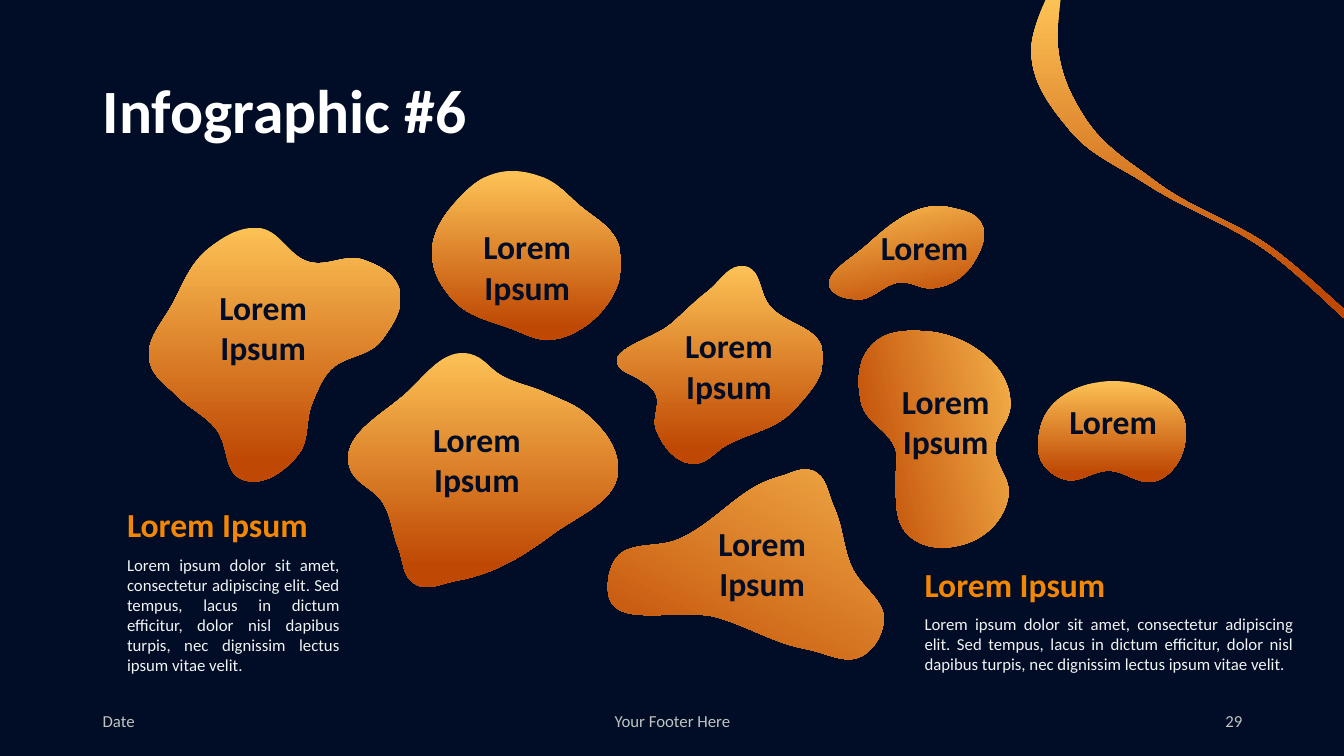
from dataclasses import dataclass
from math import cos, hypot, radians, sin

from pptx import Presentation
from pptx.dml.color import RGBColor
from pptx.enum.text import MSO_ANCHOR, MSO_AUTO_SIZE, PP_ALIGN
from pptx.oxml.ns import qn
from pptx.oxml.xmlchemy import OxmlElement
from pptx.slide import Slide
from pptx.util import Inches, Pt

Point = tuple[float, float]


@dataclass(frozen=True)
class Theme:
    font: str = "Calibri"
    navy: str = "010D26"
    white: str = "FFFFFF"
    pale: str = "F2F3F3"
    gray: str = "C0C4C1"
    orange: str = "F28705"
    gradient_top: str = "FCC155"
    gradient_bottom: str = "BF4904"
    title_size: int = 44
    label_size: int = 24
    small_size: int = 12


@dataclass(frozen=True)
class Blob:
    """A smooth outline as it stands on the page; its gradient turns with rotation."""
    points: list[Point]
    rotation: float = 0
    corners: tuple[int, ...] = ()


@dataclass(frozen=True)
class Label:
    text: str
    left: float
    top: float
    height: float = 0.91


@dataclass(frozen=True)
class Caption:
    left: float
    top: float
    heading_width: float
    body_width: float


THEME = Theme()
BODY = ("Lorem ipsum dolor sit amet, consectetur adipiscing elit. Sed tempus, lacus in dictum "
        "efficitur, dolor nisl dapibus turpis, nec dignissim lectus ipsum vitae velit.")

BLOBS = [
    # Lower left diamond
    Blob([(6.13, 4.63), (5.84, 4.13), (5.42, 3.9), (4.98, 3.73), (4.66, 3.51), (4.02, 3.91),
          (3.47, 4.64), (3.8, 4.99), (3.95, 5.43), (4.11, 5.79), (4.53, 5.76), (5.48, 5.3)]),
    # Far left star
    Blob([(3.95, 2.84), (3.61, 2.58), (3.07, 2.6), (2.55, 2.26), (2.09, 2.45), (1.72, 3),
          (1.49, 3.61), (1.76, 3.93), (2.14, 4.25), (2.41, 4.76), (2.95, 4.52), (3.1, 3.99),
          (3.25, 3.7), (3.79, 3.37)]),
    # Bottom triangle
    Blob([(8.76, 6.2), (8.44, 5.61), (8.27, 5.03), (8.06, 4.67), (7.73, 4.73), (6.73, 5.35),
          (6.09, 5.57), (6.03, 5.86), (7.13, 6.13), (8, 6.44), (8.58, 6.49)], 27.3),
    # Far right bean
    Blob([(11.76, 4.24), (11.04, 3.78), (10.32, 4.24), (10.35, 4.61), (10.54, 4.75),
          (11, 4.67), (11.47, 4.77)]),
    # Middle star
    Blob([(8.16, 3.48), (7.63, 3.03), (7.39, 2.64), (7.02, 2.89), (6.66, 3.21), (6.15, 3.65),
          (6.32, 3.75), (6.49, 3.88), (6.51, 4.27), (6.89, 4.6), (7.2, 4.42), (7.87, 4.07)]),
    # Top pentagon
    Blob([(6.13, 2.42), (5.75, 2.04), (5.36, 1.75), (4.88, 1.73), (4.57, 1.95), (4.29, 2.58),
          (4.48, 2.96), (5.07, 3.26), (5.46, 3.37), (5.75, 3.27)]),
    # Upper right leaf
    Blob([(9.73, 2.21), (9.43, 2.06), (8.6, 2.43), (8.26, 2.89), (8.49, 2.97), (8.94, 2.8),
          (9.25, 2.86), (9.66, 2.6)], 348.1),
    # Right peanut
    Blob([(9.59, 5.39), (10, 4.93), (9.87, 4.43), (10.02, 4.03), (9.21, 3.29), (8.64, 3.43),
          (8.54, 3.99), (8.89, 4.49), (8.88, 4.81), (9, 5.3)], 77),
    # Corner ribbon
    Blob([(13.33, 3.07), (12.63, 2.47), (11.46, 1.8), (10.76, 1.17), (10.49, 0.44),
          (10.52, 0), (10.37, 0), (10.23, 0.47), (10.61, 1.29), (11.36, 1.82), (12.62, 2.53),
          (13.33, 3.16)], corners=(0, 5, 6, 11)),
]

LABELS = [
    Label("Lorem Ipsum", 1.89, 2.79), Label("Lorem Ipsum", 4.51, 2.19),
    Label("Lorem Ipsum", 6.51, 3.17), Label("Lorem Ipsum", 4.01, 4.1),
    Label("Lorem Ipsum", 6.84, 5.13), Label("Lorem Ipsum", 8.66, 3.72),
    Label("Lorem", 10.32, 3.93, 0.5), Label("Lorem", 8.45, 2.2, 0.5),
]
CAPTIONS = [Caption(1.26, 4.95, 2.25, 2.11), Caption(9.17, 5.54, 3.92, 3.66)]
FOOTERS = [("Date", 0.92, 3, PP_ALIGN.LEFT), ("Your Footer Here", 4.42, 4.5, PP_ALIGN.CENTER),
           ("29", 9.42, 3, PP_ALIGN.RIGHT)]


def rotate(point: Point, degrees: float) -> Point:
    angle = radians(degrees)
    x, y = point
    return x * cos(angle) - y * sin(angle), x * sin(angle) + y * cos(angle)


def handle(points: list[Point], index: int, toward: int, corners: tuple[int, ...]) -> Point:
    """Control point beside points[index], leading to the next (1) or previous (-1) one."""
    x, y = points[index]
    if index in corners:
        return x, y
    next_x, next_y = points[(index + toward) % len(points)]
    last_x, last_y = points[(index - toward) % len(points)]
    ahead, behind = hypot(next_x - x, next_y - y), hypot(x - last_x, y - last_y)
    ratio = behind / ahead
    slope_x = (next_x - x) * ratio + (x - last_x) / ratio
    slope_y = (next_y - y) * ratio + (y - last_y) / ratio
    reach = 0.36 * ahead / hypot(slope_x, slope_y)
    return x + slope_x * reach, y + slope_y * reach


def draw_blob(page: Slide, blob: Blob) -> None:
    points = [rotate(point, -blob.rotation) for point in blob.points]
    anchors = [(Inches(x), Inches(y)) for x, y in points]
    builder = page.shapes.build_freeform(*anchors[0], scale=1.0)
    builder.add_line_segments(anchors[1:] + anchors[:1], close=True)
    shape = builder.convert_to_shape()

    # Bend each straight side into a curve
    left, top = min(x for x, _ in points), min(y for _, y in points)
    for index, side in enumerate(list(shape.element.iter(qn("a:lnTo")))):
        following = (index + 1) % len(points)
        curve = OxmlElement("a:cubicBezTo")
        for x, y in (handle(points, index, 1, blob.corners),
                     handle(points, following, -1, blob.corners), points[following]):
            knot = OxmlElement("a:pt")
            knot.set("x", str(Inches(x - left)))
            knot.set("y", str(Inches(y - top)))
            curve.append(knot)
        side.getparent().replace(side, curve)

    # Turn the shape back into place
    center = rotate((shape.left + shape.width / 2, shape.top + shape.height / 2), blob.rotation)
    shape.left = round(center[0] - shape.width / 2)
    shape.top = round(center[1] - shape.height / 2)
    shape.rotation = blob.rotation

    shape.shadow.inherit = False
    shape.line.fill.background()
    shape.fill.gradient()
    shape.fill.gradient_angle = 270
    stops = ((0, THEME.gradient_top), (0.92, THEME.gradient_bottom))
    for stop, (position, color) in zip(shape.fill.gradient_stops, stops):
        stop.position = position
        stop.color.rgb = RGBColor.from_string(color)


def write_text(page: Slide, text: str, left: float, top: float, width: float, height: float, *,
               size: int, color: str, bold: bool = False, align: PP_ALIGN = PP_ALIGN.LEFT,
               anchor: MSO_ANCHOR = MSO_ANCHOR.MIDDLE, side_inset: float = 0,
               grow: bool = True, line_spacing: float = 1.0) -> None:
    box = page.shapes.add_textbox(Inches(left), Inches(top), Inches(width), Inches(height))
    frame = box.text_frame
    frame.word_wrap = True
    frame.auto_size = MSO_AUTO_SIZE.SHAPE_TO_FIT_TEXT if grow else MSO_AUTO_SIZE.NONE
    frame.vertical_anchor = anchor
    frame.margin_left = frame.margin_right = Inches(side_inset)
    para = frame.paragraphs[0]
    para.alignment = align
    para.line_spacing = line_spacing
    span = para.add_run()
    span.text = text
    span.font.name, span.font.size, span.font.bold = THEME.font, Pt(size), bold
    span.font.color.rgb = RGBColor.from_string(color)


def main() -> None:
    deck = Presentation()
    deck.slide_width, deck.slide_height = Inches(13.33), Inches(7.5)
    page = deck.slides.add_slide(deck.slide_layouts[6])
    page.background.fill.solid()
    page.background.fill.fore_color.rgb = RGBColor.from_string(THEME.navy)

    # Blobs, title and labels
    for blob in BLOBS:
        draw_blob(page, blob)
    write_text(page, "Infographic #6", 0.92, 0.4, 11.5, 1.45, size=THEME.title_size,
               color=THEME.white, bold=True, side_inset=0.1, grow=False, line_spacing=0.9)
    for label in LABELS:
        write_text(page, label.text, label.left, label.top, 1.44, label.height,
                   size=THEME.label_size, color=THEME.navy, bold=True, align=PP_ALIGN.CENTER)

    # Captions and footer
    for caption in CAPTIONS:
        write_text(page, "Lorem Ipsum", caption.left, caption.top, caption.heading_width, 0.5,
                   size=THEME.label_size, color=THEME.orange, bold=True, anchor=MSO_ANCHOR.BOTTOM)
        write_text(page, BODY, caption.left, caption.top + 0.5, caption.body_width, 1.31,
                   size=THEME.small_size, color=THEME.pale, align=PP_ALIGN.JUSTIFY,
                   anchor=MSO_ANCHOR.TOP)
    for text, left, width, align in FOOTERS:
        write_text(page, text, left, 6.95, width, 0.4, size=THEME.small_size, color=THEME.gray,
                   align=align, side_inset=0.1, grow=False)
    deck.save("out.pptx")


if __name__ == "__main__":
    main()
